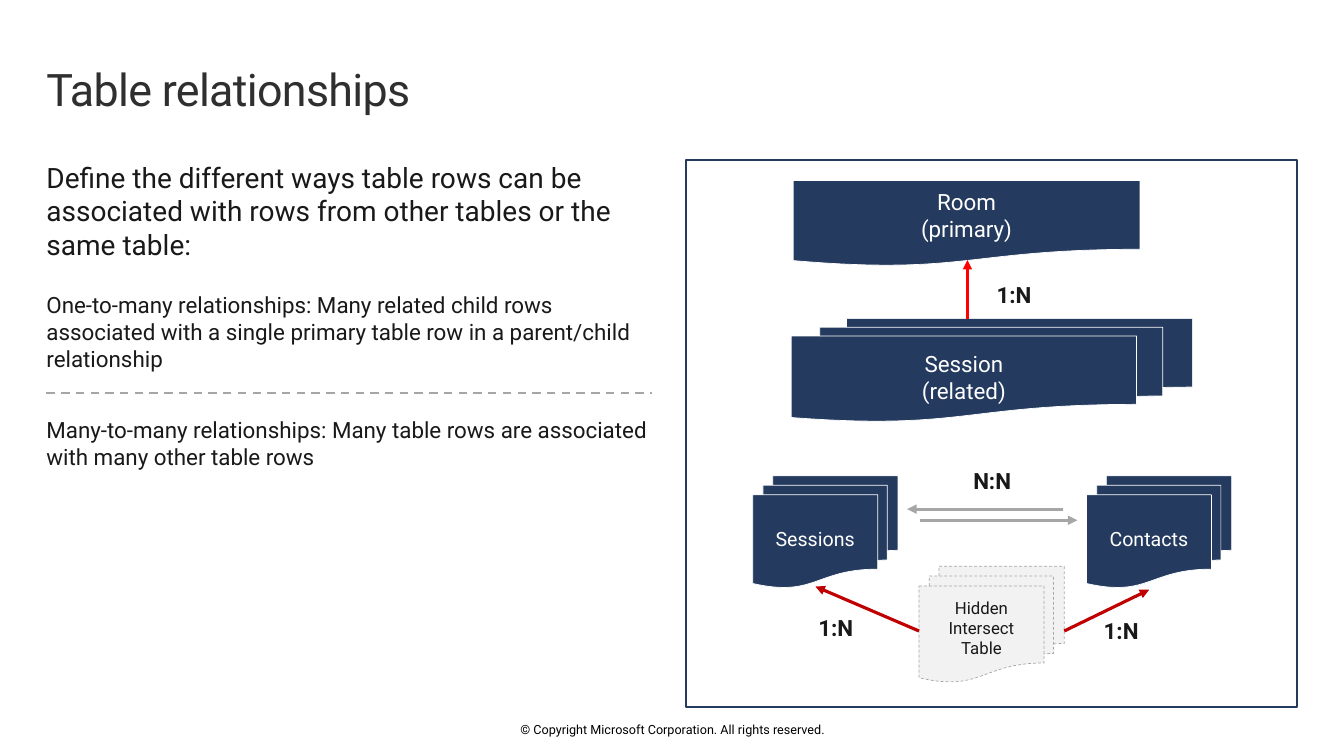
from dataclasses import dataclass

from lxml.etree import SubElement
from pptx import Presentation
from pptx.dml.color import RGBColor
from pptx.enum.dml import MSO_LINE as Dash
from pptx.enum.shapes import MSO_CONNECTOR as Connector, MSO_SHAPE as Shape
from pptx.enum.text import MSO_ANCHOR as Anchor, MSO_AUTO_SIZE as AutoSize, PP_ALIGN as Align
from pptx.oxml.ns import qn
from pptx.util import Cm, Pt

COLOURS = {
    "navy": "243A5E", "white": "FFFFFF", "ink": "191919", "title": "2F2F2F",
    "black": "000000", "grey": "A6A6A6", "pale": "F2F2F2",
    "red": "FF0000", "dark red": "C00000",
}
FONT = "Roboto"
DEFAULT_INSETS = (0.25, 0.13, 0.25, 0.13)


@dataclass
class Passage:
    text: str
    box: tuple[float, float, float, float]
    size: float
    colour: str = "ink"
    bold: bool = False
    align: Align = Align.LEFT
    anchor: Anchor = Anchor.TOP
    insets: tuple[float, float, float, float] = DEFAULT_INSETS
    after: float = 0


@dataclass
class Document:
    passage: Passage
    kind: Shape = Shape.FLOWCHART_MULTIDOCUMENT
    fill: str = "navy"
    outline: str = "white"
    dash: Dash | None = None


@dataclass
class Stroke:
    start: tuple[float, float]
    end: tuple[float, float]
    colour: str
    width: float = 2.25
    arrow: bool = True
    dash: Dash | None = None


def colour_of(name: str) -> RGBColor:
    return RGBColor.from_string(COLOURS[name])


def style_line(line, colour: str, width: float, dash: Dash | None = None) -> None:
    line.color.rgb = colour_of(colour)
    line.width = Pt(width)
    if dash:
        line.dash_style = dash


def place(shape, box: tuple) -> None:
    for side, value in zip(("left", "top", "width", "height"), box):
        setattr(shape, side, Cm(value))


def write(shape, passage: Passage):
    frame = shape.text_frame
    settings = {"word_wrap": True, "auto_size": AutoSize.NONE,
                "vertical_anchor": passage.anchor}
    sides = ("margin_left", "margin_top", "margin_right", "margin_bottom")
    settings |= {side: Cm(inset) for side, inset in zip(sides, passage.insets)}
    for name, value in settings.items():
        setattr(frame, name, value)
    para = frame.paragraphs[0]
    para.text = passage.text
    spacing = {"alignment": passage.align, "line_spacing": 1.0,
               "space_before": Pt(0), "space_after": Pt(passage.after)}
    for name, value in spacing.items():
        setattr(para, name, value)
    for span in para.runs:
        for name, value in {"name": FONT, "size": Pt(passage.size), "bold": passage.bold}.items():
            setattr(span.font, name, value)
        span.font.color.rgb = colour_of(passage.colour)
    return para


def fill_placeholder(holder, passage: Passage) -> None:
    place(holder, passage.box)
    properties = write(holder, passage)._p.get_or_add_pPr()
    properties.set("marL", "0")
    properties.set("indent", "0")
    SubElement(properties, qn("a:buNone"))


def add_text(page, passage: Passage) -> None:
    write(page.shapes.add_textbox(*map(Cm, passage.box)), passage)


def add_document(page, document: Document) -> None:
    shape = page.shapes.add_shape(document.kind, *map(Cm, document.passage.box))
    shape.shadow.inherit = False
    shape.fill.solid()
    shape.fill.fore_color.rgb = colour_of(document.fill)
    style_line(shape.line, document.outline, 0.5, document.dash)
    write(shape, document.passage)


def add_stroke(page, stroke: Stroke) -> None:
    connector = page.shapes.add_connector(
        Connector.STRAIGHT, *map(Cm, stroke.start + stroke.end))
    style_line(connector.line, stroke.colour, stroke.width, stroke.dash)
    if stroke.arrow:
        SubElement(connector.line._get_or_add_ln(), qn("a:tailEnd"), type="triangle")
    SubElement(connector._element.spPr, qn("a:effectLst"))


def label(text: str, *box: float) -> Passage:
    return Passage(text, box, 16, bold=True, align=Align.CENTER)


def caption(text: str, size: float, *box: float) -> Passage:
    return Passage(text, box, size, "white", align=Align.CENTER, anchor=Anchor.MIDDLE)


TITLE = Passage("Table relationships", (1.17, 1.22, 15.39, 2.03), 32, "title",
                anchor=Anchor.MIDDLE, insets=(0, 0.25, 0.41, 0.25))
POINT_INSETS = (0, 0.13, 0, 0.13)
BODIES = [
    Passage("Define the different ways table rows can be associated with rows from "
            "other tables or the same table:", (1.17, 4.04, 15.5, 2.57), 20,
            insets=(0, 0, 0, 0)),
    Passage("One-to-many relationships: Many related child rows associated with a single "
            "primary table row in a parent/child relationship",
            (1.17, 7.21, 15.5, 2.31), 16, insets=POINT_INSETS, after=6),
    Passage("Many-to-many relationships: Many table rows are associated with many other "
            "table rows", (1.17, 10.36, 15.5, 1.63), 16, insets=POINT_INSETS, after=6),
]
FOOTER = Passage("© Copyright Microsoft Corporation. All rights reserved.",
                 (11.23, 18.19, 11.43, 0.38), 9, "black", align=Align.CENTER,
                 anchor=Anchor.MIDDLE, insets=(0, 0, 0, 0))
FRAME = (17.3, 4.04, 15.39, 13.77)

DOCUMENTS = [
    Document(caption("Room\n(primary)", 16, 19.99, 4.55, 8.74, 2.16), Shape.FLOWCHART_DOCUMENT),
    Document(caption("Session\n(related)", 16, 19.94, 8.03, 10.11, 2.59)),
    Document(caption("Sessions", 14, 18.97, 11.99, 3.66, 2.82)),
    Document(caption("Contacts", 14, 27.38, 11.99, 3.66, 2.82)),
    Document(Passage("Hidden Intersect\nTable", (23.16, 14.27, 3.66, 2.92), 12,
                     align=Align.CENTER, insets=(0.25, 0.3, 0.25, 0.13)),
             fill="pale", outline="grey", dash=Dash.DASH),
]
STROKES = [
    Stroke((1.17, 9.91), (16.43, 9.91), "grey", 1.5, arrow=False, dash=Dash.DASH),
    Stroke((24.38, 8.03), (24.38, 6.55), "red"),
    Stroke((26.8, 12.83), (22.86, 12.83), "grey"),
    Stroke((23.19, 13.11), (27.15, 13.11), "grey"),
    Stroke((23.16, 15.9), (20.55, 14.78), "dark red"),
    Stroke((26.82, 15.9), (28.96, 14.86), "dark red"),
]
LABELS = [
    label("1:N", 24.74, 6.96, 1.63, 0.94),
    label("N:N", 23.9, 11.63, 2.21, 1.14),
    label("1:N", 19.96, 15.34, 2.21, 1.14),
    label("1:N", 27.15, 15.42, 2.21, 1.14),
]


def main() -> None:
    deck = Presentation()
    deck.slide_width, deck.slide_height = Cm(33.87), Cm(19.05)
    page = deck.slides.add_slide(deck.slide_layouts.get_by_name("Comparison"))

    # Title and body text
    title, *bodies, spare = page.placeholders
    fill_placeholder(title, TITLE)
    for span in title.text_frame.paragraphs[0].runs:
        span._r.get_or_add_rPr().set("spc", "-50")
    for holder, passage in zip(bodies, BODIES):
        fill_placeholder(holder, passage)
    spare._element.getparent().remove(spare._element)

    # Frame and footer
    frame = page.shapes.add_shape(Shape.RECTANGLE, *map(Cm, FRAME))
    frame.shadow.inherit = False
    frame.fill.background()
    style_line(frame.line, "navy", 1.5)
    add_text(page, FOOTER)

    # Relationship diagram
    for document in DOCUMENTS:
        add_document(page, document)
    for stroke in STROKES:
        add_stroke(page, stroke)
    for passage in LABELS:
        add_text(page, passage)

    deck.save("out.pptx")


if __name__ == "__main__":
    main()
